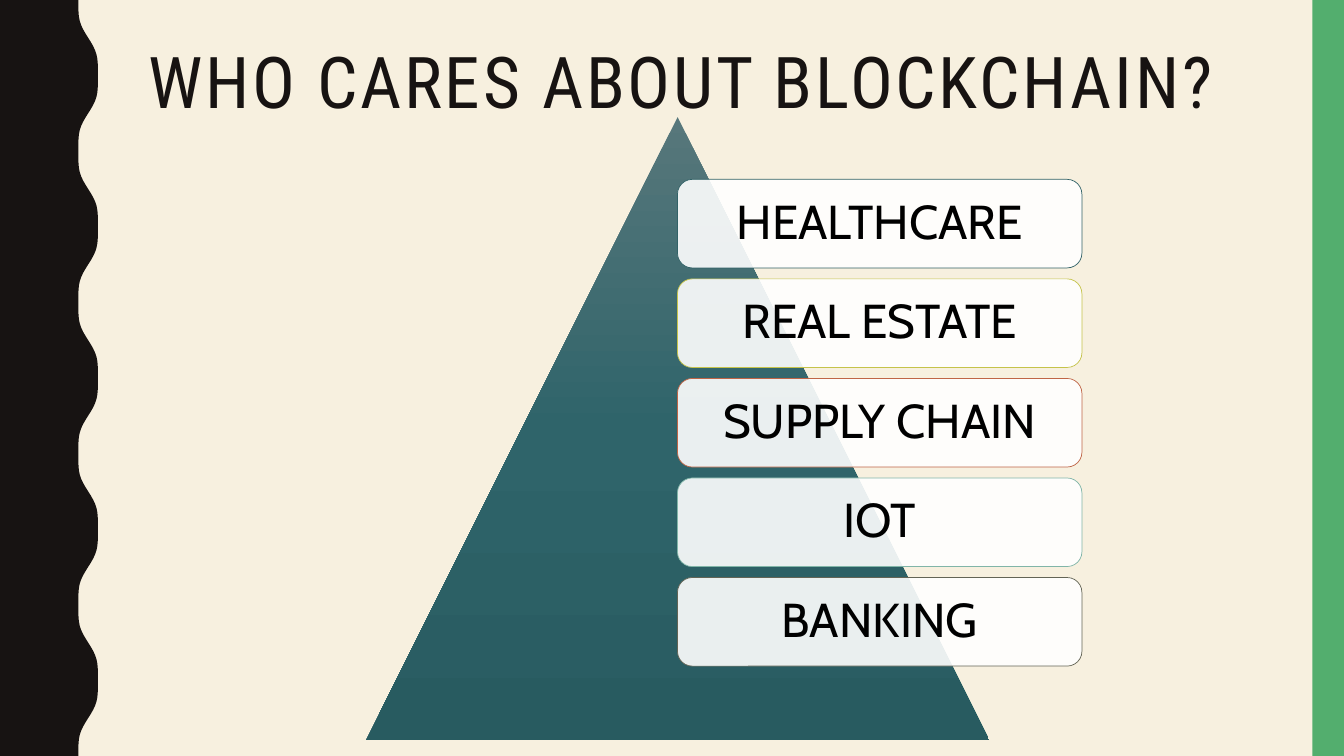
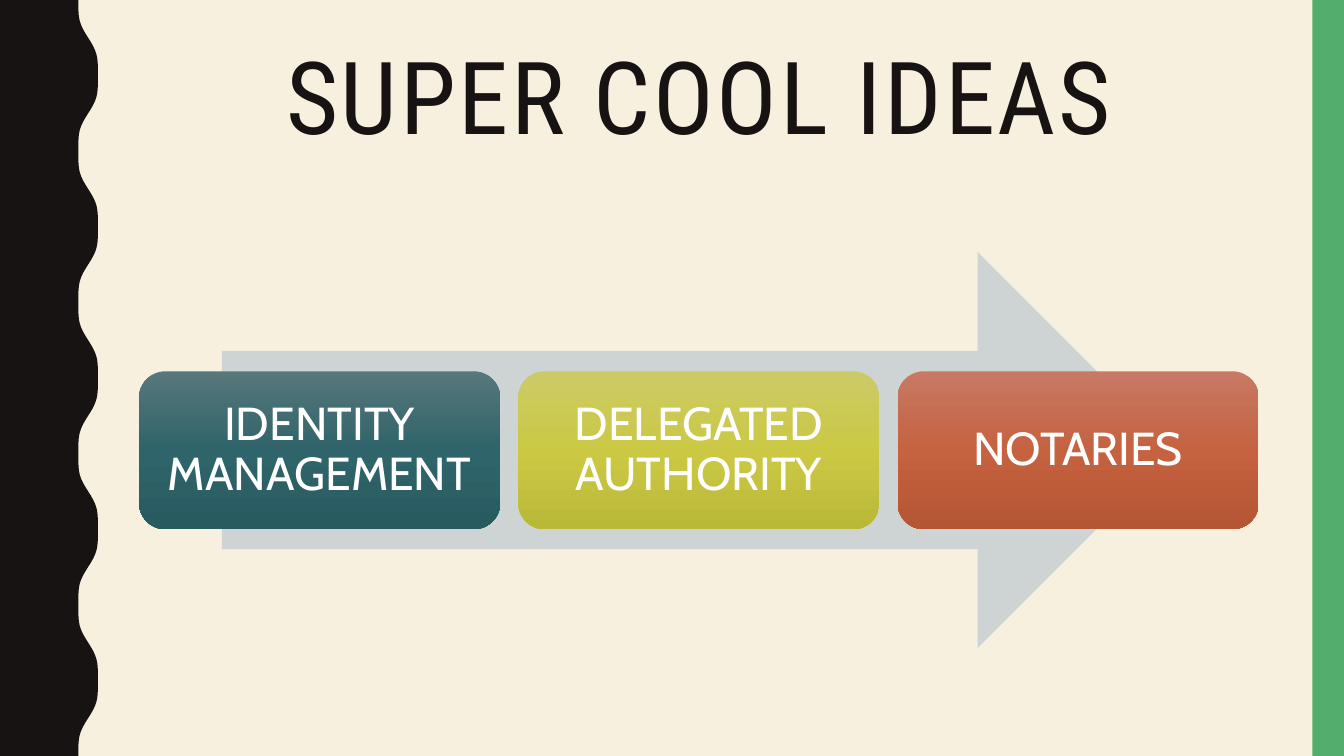
import copy
import math

from lxml import etree
from pptx import Presentation
from pptx import util as u
from pptx.dml.color import RGBColor
from pptx.enum import shapes, text
from pptx.oxml import ns

CREAM = RGBColor(0xF7, 0xF0, 0xDF)
INK = RGBColor(0x17, 0x13, 0x12)
GREEN = RGBColor(0x53, 0xAE, 0x6E)
WHITE = RGBColor(0xFF, 0xFF, 0xFF)
BLACK = RGBColor(0x00, 0x00, 0x00)
SILVER = RGBColor(0xCE, 0xD3, 0xD3)
TEAL_EDGE = RGBColor(0x32, 0x62, 0x67)
LIME_EDGE = RGBColor(0xC5, 0xC3, 0x4A)
RUST_EDGE = RGBColor(0xBF, 0x65, 0x46)
MINT_EDGE = RGBColor(0x81, 0xB5, 0xA8)
OLIVE_EDGE = RGBColor(0x63, 0x64, 0x55)
TEAL = [RGBColor(0x57, 0x77, 0x7B), RGBColor(0x2F, 0x64, 0x6A), RGBColor(0x28, 0x5B, 0x60)]
LIME = [RGBColor(0xCC, 0xCA, 0x66), RGBColor(0xCB, 0xC9, 0x44), RGBColor(0xBA, 0xB8, 0x37)]
RUST = [RGBColor(0xC7, 0x79, 0x64), RGBColor(0xC5, 0x62, 0x40), RGBColor(0xB4, 0x55, 0x33)]

COLUMNS, ROWS = 160, 90
TITLE_ONLY = 5
SHAPE = shapes.MSO_SHAPE
ALIGN = text.PP_ALIGN
ANCHOR = text.MSO_ANCHOR


class Deck:
    title_font = "Roboto Condensed"
    body_font = "Cabin"
    line_spacing = 0.9
    inset = u.Inches(0.14)

    def __init__(self):
        self.presentation = Presentation()
        self.presentation.slide_width = u.Inches(13.33)
        self.presentation.slide_height = u.Inches(7.5)
        self.layout = self.presentation.slide_layouts[TITLE_ONLY]
        fill = self.presentation.slide_master.background.fill
        fill.solid()
        fill.fore_color.rgb = CREAM
        self.slide = None

    def x(self, columns):
        return round(self.presentation.slide_width * columns / COLUMNS)

    def y(self, rows):
        return round(self.presentation.slide_height * rows / ROWS)

    def box(self, column, row, width, height):
        return self.x(column), self.y(row), self.x(width), self.y(height)

    def open_slide(self):
        first = self.slide is None
        self.slide = self.presentation.slides.add_slide(self.layout)
        if first:
            for band in (self.wave(), self.shape(SHAPE.RECTANGLE, (156.25, 0, 3.75, ROWS), GREEN)):
                self.layout.shapes.element.insert(2, band.element)

    def paint(self, shape, fill):
        shape.shadow.inherit = False
        shape.line.fill.background()
        if isinstance(fill, list):
            shape.fill.gradient()
            shape.fill.gradient_angle = 270
            last = list(shape.element.iter(ns.qn("a:gs")))[-1]
            last.addnext(copy.deepcopy(last))
            for index, stop in enumerate(shape.fill.gradient_stops):
                stop.color.rgb = fill[index]
                stop.position = index / 2
        else:
            shape.fill.solid()
            shape.fill.fore_color.rgb = fill
        return shape

    def wave(self):
        middle, swing, period, steps = 10.5, 1.32, 18, 180
        edge = []
        for step in range(steps + 1):
            row = ROWS * step / steps
            angle = math.tau * row / period
            ripple = math.cos(angle) - 0.13 * math.cos(3 * angle)
            edge.append((self.x(middle - swing * ripple), self.y(row)))
        builder = self.slide.shapes.build_freeform(0, 0)
        builder.add_line_segments(edge + [(0, self.y(ROWS))], close=True)
        return self.paint(builder.convert_to_shape(), INK)

    def shape(self, kind, place, fill):
        return self.paint(self.slide.shapes.add_shape(kind, *self.box(*place)), fill)

    def add_text(self, paragraph, words, font, size, color, align):
        paragraph.alignment = align
        paragraph.line_spacing = self.line_spacing
        run = paragraph.add_run()
        run.text = words
        run.font.name = font
        run.font.size = u.Pt(size)
        run.font.color.rgb = color

    def title(self, words, size, align):
        title = self.slide.shapes.title
        title.left, title.top, title.width, title.height = self.box(16.45, 5, 133.6, 19.6)
        frame = title.text_frame
        frame.auto_size = text.MSO_AUTO_SIZE.NONE
        frame.vertical_anchor = ANCHOR.TOP
        self.add_text(frame.paragraphs[0], words, self.title_font, size, INK, align)
        for properties in title.element.iter(ns.qn("a:rPr")):
            properties.set("spc", "200")

    def label(self, shape, words, size, color):
        frame = shape.text_frame
        frame.word_wrap = True
        frame.vertical_anchor = ANCHOR.MIDDLE
        frame.margin_left = frame.margin_right = self.inset
        frame.margin_top = frame.margin_bottom = self.inset
        self.add_text(frame.paragraphs[0], words, self.body_font, size, color, ALIGN.CENTER)

    def card(self, place, words, edge):
        card = self.shape(SHAPE.ROUNDED_RECTANGLE, place, WHITE)
        color = next(card.element.iter(ns.qn("a:srgbClr")))
        etree.SubElement(color, ns.qn("a:alpha")).set("val", "90000")
        card.line.color.rgb = edge
        card.line.width = u.Pt(0.5)
        self.label(card, words, 34, BLACK)

    def step(self, place, words, gradient):
        step = self.shape(SHAPE.ROUNDED_RECTANGLE, place, gradient)
        self.label(step, words, 33, WHITE)


def industries(deck):
    deck.open_slide()
    deck.title("WHO CARES ABOUT BLOCKCHAIN?", 51, ALIGN.LEFT)
    deck.shape(SHAPE.ISOSCELES_TRIANGLE, (43.6, 13.95, 74.15, 74.15), TEAL)
    cards = [
        ("HEALTHCARE", TEAL_EDGE),
        ("REAL ESTATE", LIME_EDGE),
        ("SUPPLY CHAIN", RUST_EDGE),
        ("IOT", MINT_EDGE),
        ("BANKING", OLIVE_EDGE),
    ]
    for index, (words, edge) in enumerate(cards):
        deck.card((80.65, 21.35 + 11.85 * index, 48.15, 10.55), words, edge)


def ideas(deck):
    deck.open_slide()
    deck.title("SUPER COOL IDEAS", 72, ALIGN.CENTER)
    deck.shape(SHAPE.RIGHT_ARROW, (26.4, 30, 113.55, 47.15), SILVER)
    steps = [("IDENTITY MANAGEMENT", TEAL), ("DELEGATED AUTHORITY", LIME), ("NOTARIES", RUST)]
    for index, (words, gradient) in enumerate(steps):
        deck.step((16.55 + 45.15 * index, 44.2, 43, 18.8), words, gradient)


def main():
    deck = Deck()
    industries(deck)
    ideas(deck)
    deck.presentation.save("out.pptx")


if __name__ == "__main__":
    main()
